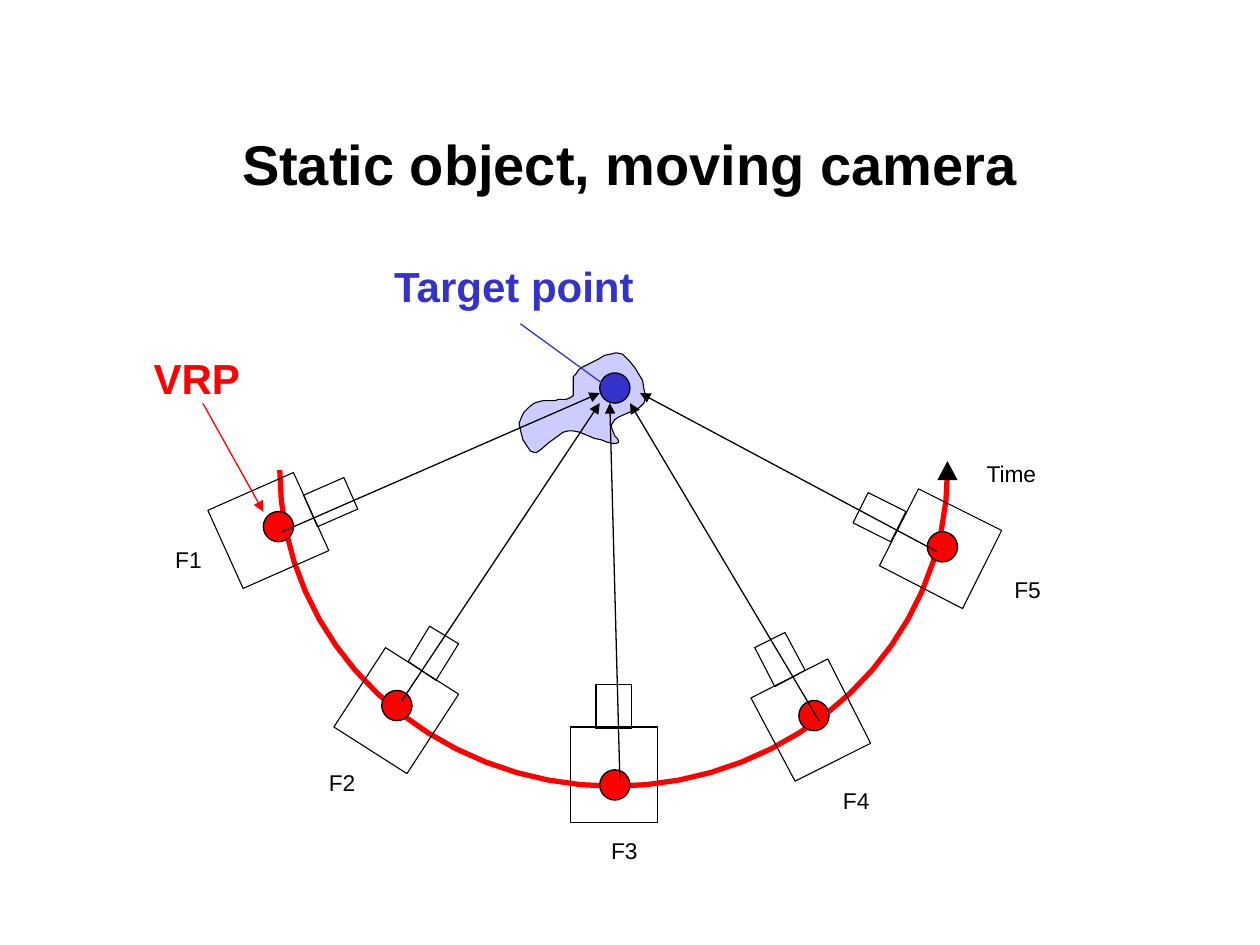
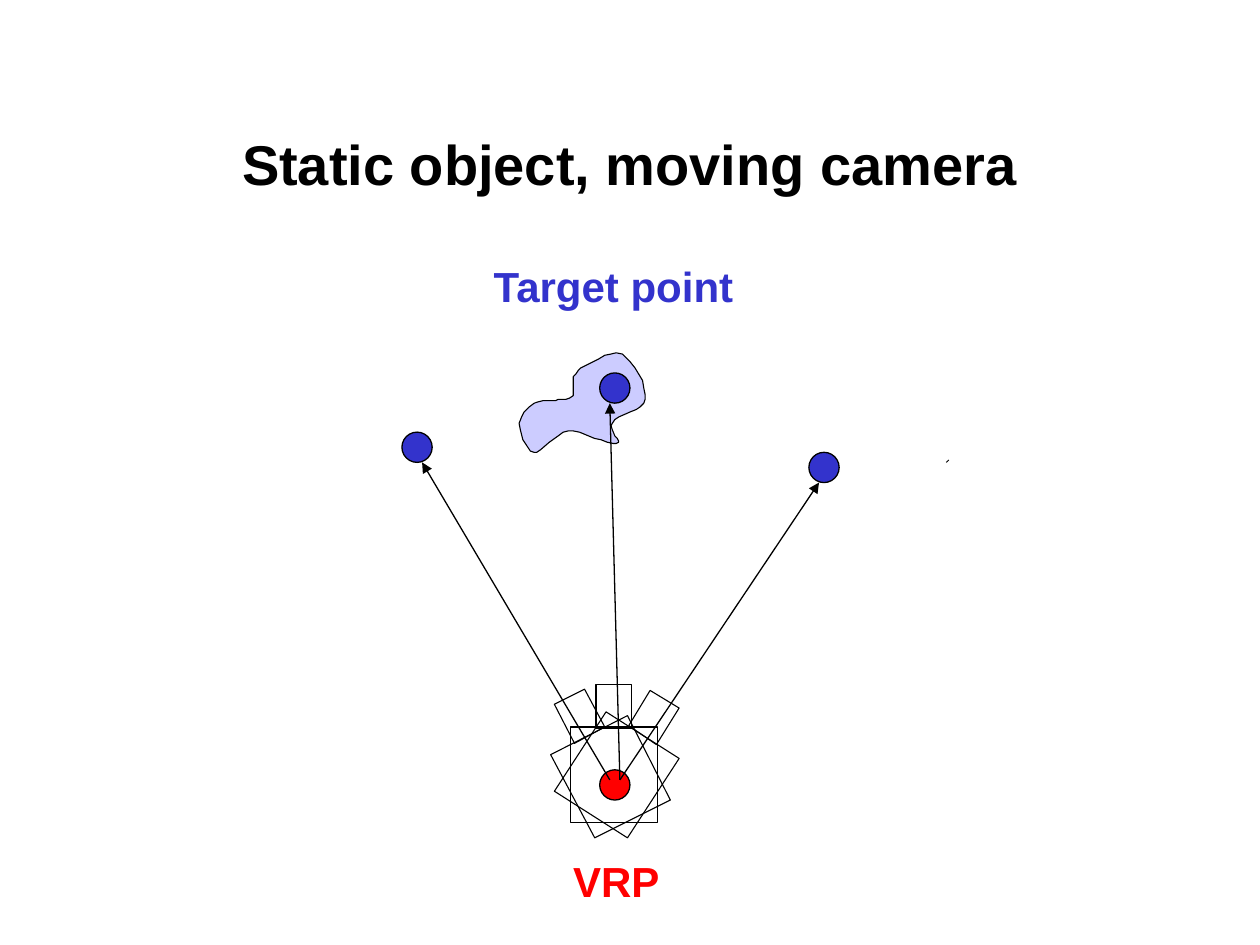
from math import cos, pi, sin

from lxml.etree import SubElement
from pptx import Presentation
from pptx.dml.color import RGBColor
from pptx.enum.shapes import MSO_CONNECTOR, MSO_SHAPE
from pptx.enum.text import MSO_ANCHOR, MSO_AUTO_SIZE, PP_ALIGN
from pptx.oxml.ns import qn
from pptx.util import Inches, Pt

BLACK, RED, BLUE, LILAC = "000000", "FF0000", "3333CC", "CCCCFF"
THIN, NORMAL, THICK = 0.62, 0.75, 3
DOT = 0.24
ARC_STEPS = 16

OBJECT_OUTLINE = [
    (4.43, 3.17), (4.45, 3.17), (4.49, 3.17), (4.52, 3.16), (4.55, 3.14), (4.55, 3.1),
    (4.55, 3.05), (4.55, 2.99), (4.57, 2.97), (4.59, 2.94), (4.61, 2.92), (4.65, 2.9),
    (4.75, 2.85), (4.8, 2.82), (4.85, 2.81), (4.89, 2.8), (4.94, 2.81), (4.97, 2.84),
    (5, 2.87), (5.04, 2.92), (5.07, 2.97), (5.1, 3.02), (5.11, 3.08), (5.12, 3.13),
    (5.12, 3.17), (5.11, 3.2), (5.08, 3.23), (5.05, 3.25), (5, 3.27), (4.91, 3.31),
    (4.88, 3.33), (4.86, 3.36), (4.85, 3.38), (4.86, 3.41), (4.88, 3.46), (4.9, 3.48),
    (4.91, 3.5), (4.91, 3.51), (4.89, 3.52), (4.87, 3.52), (4.82, 3.51), (4.77, 3.49),
    (4.72, 3.48), (4.6, 3.43), (4.55, 3.42), (4.51, 3.42), (4.47, 3.43), (4.43, 3.46),
    (4.36, 3.51), (4.29, 3.57), (4.26, 3.59), (4.24, 3.59), (4.21, 3.58), (4.19, 3.55),
    (4.15, 3.49), (4.13, 3.41), (4.12, 3.36), (4.14, 3.31), (4.16, 3.27), (4.2, 3.23),
    (4.24, 3.2), (4.27, 3.19), (4.31, 3.18), (4.35, 3.18), (4.37, 3.18), (4.41, 3.18),
]

TILTED_CAMERAS = {
    "F1": ([(2.33, 3.75), (1.65, 4.05), (1.93, 4.67), (2.61, 4.37)],
           [(2.73, 3.79), (2.41, 3.93), (2.52, 4.18), (2.84, 4.04)]),
    "F2": ([(3.06, 5.14), (2.65, 5.77), (3.23, 6.14), (3.64, 5.51)],
           [(3.41, 4.97), (3.24, 5.25), (3.46, 5.4), (3.64, 5.11)]),
    "F4": ([(5.96, 5.54), (6.31, 6.2), (6.91, 5.9), (6.57, 5.23)],
           [(5.99, 5.14), (6.15, 5.45), (6.39, 5.32), (6.23, 5.02)]),
    "F5": ([(6.98, 4.49), (7.64, 4.83), (7.95, 4.21), (7.29, 3.88)],
           [(6.77, 4.15), (7.07, 4.3), (7.19, 4.06), (6.89, 3.91)]),
}
FRAME_LABELS = {"F1": (1.39, 4.33), "F2": (2.61, 6.1), "F3": (4.85, 6.64),
                "F4": (6.69, 6.24), "F5": (8.05, 4.57)}
VIEW_POINTS = [(2.09, 4.06), (3.03, 5.48), (4.76, 6.11), (6.34, 5.56), (7.36, 4.22)]
TARGET = (4.76, 2.96)
CENTRE_SIGHT = ((4.92, 6.19), (4.84, 3.2))


def colour(code):
    return RGBColor.from_string(code)


class Diagram:
    font = "Arial"

    def __init__(self):
        self.deck = Presentation()
        self.deck.slide_width, self.deck.slide_height = Inches(10), Inches(7.5)
        self.page = None

    def new_page(self, heading):
        self.page = self.deck.slides.add_slide(self.deck.slide_layouts[5])
        title = self.page.shapes.title
        title.left, title.top = Inches(0.75), Inches(0.67)
        title.width, title.height = Inches(8.5), Inches(1.25)
        frame = title.text_frame
        frame.text = heading
        frame.auto_size = MSO_AUTO_SIZE.NONE
        frame.vertical_anchor = MSO_ANCHOR.MIDDLE
        frame.paragraphs[0].alignment = PP_ALIGN.CENTER
        self.style_text(frame.paragraphs[0], 32, BLACK, True)

    def style_text(self, para, size, code, bold):
        para.font.name, para.font.size, para.font.bold = self.font, Pt(size), bold
        para.font.color.rgb = colour(code)

    def text(self, words, at, size, code, bold=False, insets=(0, 0)):
        box = self.page.shapes.add_textbox(*map(Inches, at))
        frame = box.text_frame
        frame.word_wrap = False
        frame.auto_size = MSO_AUTO_SIZE.SHAPE_TO_FIT_TEXT
        frame.margin_left = frame.margin_right = Inches(insets[0])
        frame.margin_top = frame.margin_bottom = Inches(insets[1])
        frame.text = words
        self.style_text(frame.paragraphs[0], size, code, bold)

    def label(self, words, left, top, width=0.21):
        self.text(words, (left, top, width, 0.22), 13, BLACK)

    def heading(self, words, left, top, width, code):
        self.text(words, (left, top, width, 0.5), 24, code, True, (0.1, 0.05))

    def paint(self, shape, fill, line, width):
        shape.shadow.inherit = False
        if fill:
            shape.fill.solid()
            shape.fill.fore_color.rgb = colour(fill)
        else:
            shape.fill.background()
        if line:
            shape.line.color.rgb = colour(line)
            shape.line.width = Pt(width)
        else:
            shape.line.fill.background()

    def preset(self, kind, at, fill=None, width=THIN):
        shape = self.page.shapes.add_shape(kind, *map(Inches, at))
        self.paint(shape, fill, BLACK, width)

    def dot(self, place, fill):
        self.preset(MSO_SHAPE.OVAL, (*place, DOT, DOT), fill, NORMAL)

    def outline(self, points, fill=None, line=BLACK, width=THIN, close=True):
        corners = [(Inches(x), Inches(y)) for x, y in points]
        builder = self.page.shapes.build_freeform(*corners[0])
        builder.add_line_segments(corners[1:], close=close)
        self.paint(builder.convert_to_shape(), fill, line, width)

    def line(self, start, end, code=BLACK, width=NORMAL, arrow=True):
        link = self.page.shapes.add_connector(
            MSO_CONNECTOR.STRAIGHT, *map(Inches, (*start, *end)))
        link.line.color.rgb = colour(code)
        link.line.width = Pt(width)
        if arrow:
            SubElement(link.line._get_or_add_ln(), qn("a:tailEnd"), type="triangle")
        SubElement(link._element.spPr, qn("a:effectLst"))

    def upright_camera(self):
        self.preset(MSO_SHAPE.RECTANGLE, (4.53, 5.77, 0.69, 0.76))
        self.preset(MSO_SHAPE.RECTANGLE, (4.73, 5.43, 0.28, 0.35))

    def tilted_camera(self, name, right=0, down=0):
        for part in TILTED_CAMERAS[name]:
            self.outline([(x + right, y + down) for x, y in part])

    def camera_path(self):
        for side in (1, -1):
            angles = [step * pi / 2 / ARC_STEPS for step in range(ARC_STEPS + 1)]
            arc = [(4.87 + side * 2.65 * sin(a), 3.73 + 2.51 * cos(a)) for a in angles]
            self.outline(arc, line=RED, width=THICK, close=False)
        self.outline([(7.6, 3.81), (7.52, 3.66), (7.44, 3.81)], fill=BLACK, line=None)


def orbiting_camera(diagram):
    diagram.new_page("Static object, moving camera")
    diagram.outline(OBJECT_OUTLINE, fill=LILAC)
    diagram.upright_camera()
    diagram.camera_path()
    for name in TILTED_CAMERAS:
        diagram.tilted_camera(name)
    for name, place in FRAME_LABELS.items():
        diagram.label(name, *place)
    diagram.label("Time", 7.83, 3.65, 0.4)
    for place in VIEW_POINTS:
        diagram.dot(place, RED)
    diagram.heading("VRP", 1.12, 2.75, 0.89, RED)
    diagram.line((1.61, 3.2), (2.09, 4.06), RED)
    diagram.dot(TARGET, BLUE)
    diagram.heading("Target point", 3.03, 2.02, 2.12, BLUE)
    diagram.line((4.13, 2.57), (4.86, 3.1), BLUE)
    for start, end in [((2.24, 4.22), (4.76, 3.12)), ((3.19, 5.56), (4.76, 3.2)),
                       CENTRE_SIGHT, ((6.5, 5.72), (5, 3.2)),
                       ((7.44, 4.38), (5.08, 3.12))]:
        diagram.line(start, end)


def turning_camera(diagram):
    diagram.new_page("Static object, moving camera")
    diagram.outline(OBJECT_OUTLINE, fill=LILAC)
    diagram.upright_camera()
    diagram.line((7.51, 3.67), (7.53, 3.65), width=0.5, arrow=False)
    diagram.tilted_camera("F2", 1.75, 0.51)
    diagram.tilted_camera("F4", -1.59, 0.45)
    diagram.dot(VIEW_POINTS[2], RED)
    for place in (TARGET, (6.42, 3.59), (3.19, 3.43)):
        diagram.dot(place, BLUE)
    for start, end in [((4.92, 6.19), (6.5, 3.83)), CENTRE_SIGHT,
                       ((4.84, 6.19), (3.35, 3.67))]:
        diagram.line(start, end)
    diagram.heading("VRP", 4.45, 6.74, 0.89, RED)
    diagram.heading("Target point", 3.82, 2.02, 2.12, BLUE)


def main():
    diagram = Diagram()
    orbiting_camera(diagram)
    turning_camera(diagram)
    diagram.deck.save("out.pptx")


if __name__ == "__main__":
    main()
